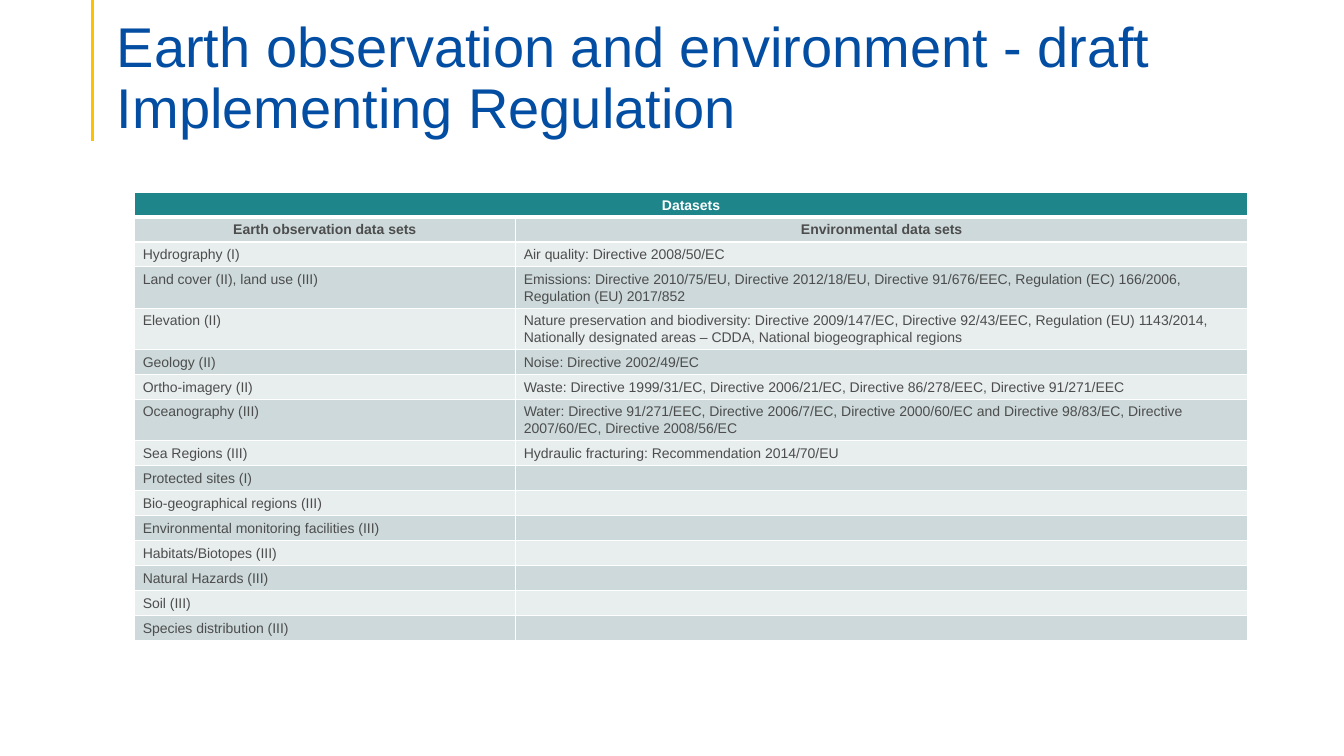
from itertools import zip_longest

from lxml import etree
from pptx import Presentation
from pptx.dml.color import RGBColor
from pptx.enum.shapes import MSO_CONNECTOR
from pptx.enum.text import MSO_ANCHOR, MSO_AUTO_SIZE, PP_ALIGN
from pptx.oxml.ns import qn
from pptx.util import Pt

STRAIGHT = MSO_CONNECTOR.STRAIGHT
BOTTOM = MSO_ANCHOR.BOTTOM
NO_FIT = MSO_AUTO_SIZE.NONE
LEFT, CENTER = PP_ALIGN.LEFT, PP_ALIGN.CENTER

COLORS = {
    "title": "034EA2", "accent": "FFC000", "header": "1E858B",
    "dark_band": "CDD9DA", "light_band": "E8EDEE",
    "text": "4D4D4D", "white": "FFFFFF",
}

HEADINGS = ["Earth observation data sets", "Environmental data sets"]
EARTH_OBSERVATION = [
    "Hydrography (I)", "Land cover (II), land use (III)", "Elevation (II)",
    "Geology (II)", "Ortho-imagery (II)", "Oceanography (III)",
    "Sea Regions (III)", "Protected sites (I)",
    "Bio-geographical regions (III)",
    "Environmental monitoring facilities (III)", "Habitats/Biotopes (III)",
    "Natural Hazards (III)", "Soil (III)", "Species distribution (III)",
]
ENVIRONMENTAL = [
    "Air quality: Directive 2008/50/EC",
    "Emissions: Directive 2010/75/EU, Directive 2012/18/EU, Directive "
    "91/676/EEC, Regulation (EC) 166/2006, Regulation (EU) 2017/852",
    "Nature preservation and biodiversity: Directive 2009/147/EC, Directive "
    "92/43/EEC, Regulation (EU) 1143/2014, Nationally designated areas – "
    "CDDA, National biogeographical regions",
    "Noise: Directive 2002/49/EC",
    "Waste: Directive 1999/31/EC, Directive 2006/21/EC, "
    "Directive 86/278/EEC, Directive 91/271/EEC",
    "Water: Directive 91/271/EEC, Directive 2006/7/EC, Directive 2000/60/EC "
    "and Directive 98/83/EC, Directive 2007/60/EC, Directive 2008/56/EC",
    "Hydraulic fracturing: Recommendation 2014/70/EU",
]


def rgb(name):
    return RGBColor.from_string(COLORS[name])


class SlideBuilder:
    font = "Arial"
    cell_size = 10
    cell_format = {"margin_left": Pt(6.2), "margin_right": Pt(6.2),
                   "margin_top": Pt(2.88), "margin_bottom": Pt(2.88)}

    def __init__(self, prs):
        self.s = prs.slides.add_slide(prs.slide_layouts[5])

    def add_text(self, p, text, size, color, bold=False):
        r = p.add_run()
        r.text = text
        values = {"name": self.font, "size": Pt(size), "bold": bold}
        for key, value in values.items():
            setattr(r.font, key, value)
        r.font.color.rgb = rgb(color)

    def title(self, text, x, y, w, h):
        sp = self.s.shapes.title
        sp.left, sp.top, sp.width, sp.height = Pt(x), Pt(y), Pt(w), Pt(h)
        tf = sp.text_frame
        values = {"word_wrap": True, "auto_size": NO_FIT,
                  "vertical_anchor": BOTTOM,
                  "margin_left": Pt(7.2), "margin_right": Pt(7.2),
                  "margin_top": Pt(3.6), "margin_bottom": 0}
        for key, value in values.items():
            setattr(tf, key, value)
        p = tf.paragraphs[0]
        p.alignment, p.line_spacing = LEFT, 0.9
        self.add_text(p, text, 40, "title")

    def line(self, x1, y1, x2, y2, color, width):
        sp = self.s.shapes.add_connector(STRAIGHT, Pt(x1), Pt(y1), Pt(x2), Pt(y2))
        sp.line.color.rgb = rgb(color)
        sp.line.width = Pt(width)
        etree.SubElement(sp._element.spPr, qn("a:effectLst"))

    def borders(self, cell, top, bottom):
        tcPr = cell._tc.get_or_add_tcPr()
        widths = {"lnL": 1, "lnR": 1, "lnT": top, "lnB": bottom}
        for i, (side, width) in enumerate(widths.items()):
            ln = etree.Element(qn(f"a:{side}"), w=str(Pt(width)))
            fill = etree.SubElement(ln, qn("a:solidFill"))
            etree.SubElement(fill, qn("a:srgbClr"), val=COLORS["white"])
            tcPr.insert(i, ln)

    def cell(self, cell, text, fill, color, heading, top=1, bottom=1):
        for key, value in self.cell_format.items():
            setattr(cell, key, value)
        cell.fill.solid()
        cell.fill.fore_color.rgb = rgb(fill)
        self.borders(cell, top, bottom)
        p = cell.text_frame.paragraphs[0]
        p.alignment = CENTER if heading else LEFT
        p.line_spacing = 1.07
        if text:
            self.add_text(p, text, self.cell_size, color, heading)
        else:
            # Keeps empty cells as low as the filled ones
            etree.SubElement(p._p, qn("a:endParaRPr"), sz=str(self.cell_size * 100))

    def table(self, rows, x, y, col_widths, line_height, tall_height):
        heights = [tall_height if len(texts[1]) > 100 else line_height
                   for texts in rows]
        table = self.s.shapes.add_table(len(rows), len(col_widths), Pt(x), Pt(y),
                                        Pt(sum(col_widths)), Pt(sum(heights))).table
        for column, width in zip(table.columns, col_widths):
            column.width = Pt(width)
        for i, texts in enumerate(rows):
            table.rows[i].height = Pt(heights[i])
            band = "dark_band" if i % 2 else "light_band"
            for j, text in enumerate(texts):
                self.cell(table.cell(i, j), text,
                          band if i else "header", "text" if i else "white",
                          heading=i < 2, top=3 if i == 1 else 1,
                          bottom=1 if i else 3)
        table.cell(0, 0).merge(table.cell(0, len(col_widths) - 1))


def main():
    prs = Presentation()
    prs.slide_width, prs.slide_height = Pt(960), Pt(540)
    slide = SlideBuilder(prs)

    # Title with its accent line
    slide.line(66.24, 0, 66.24, 100.8, "accent", 2.25)
    slide.title("Earth observation and environment - draft Implementing Regulation",
                76.3, 38.2, 828, 61.9)

    # Datasets, one column per family
    datasets = zip_longest(EARTH_OBSERVATION, ENVIRONMENTAL, fillvalue="")
    slide.table([("Datasets", ""), HEADINGS, *datasets],
                95.8, 137.5, [272.2, 523.4], 17.3, 28.1)

    prs.save("out.pptx")


if __name__ == "__main__":
    main()
